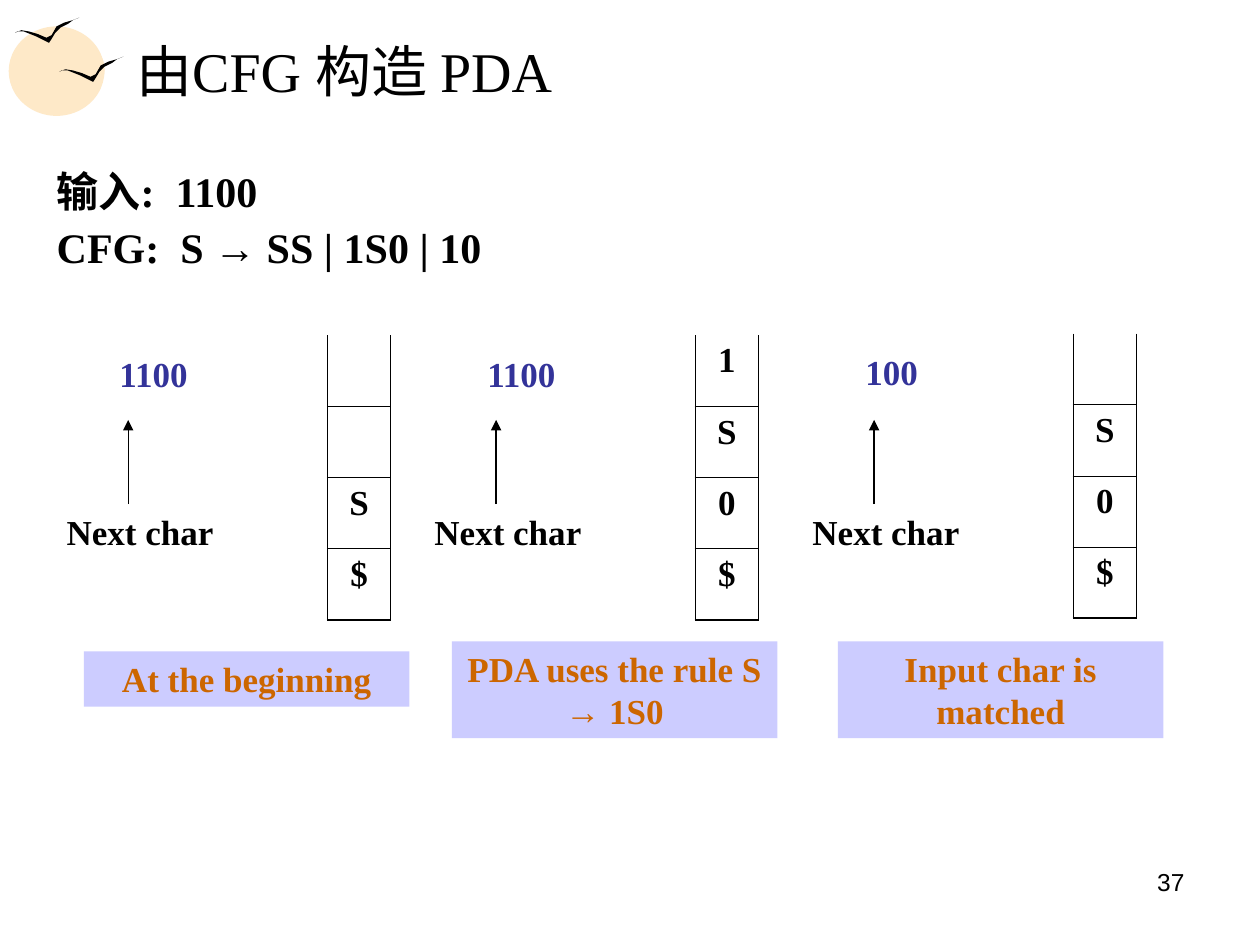
from lxml import etree
from pptx import Presentation
from pptx.dml import color
from pptx.enum import shapes, text
from pptx.oxml import ns
from pptx.util import Pt

SERIF = "Times New Roman"
BLACK = "000000"
BIRD = [(0, 12), (5, 10), (11, 11), (18, 13), (25, 16), (29, 14), (33, 7),
        (39, 4), (46, 2), (51, 0), (46, 2), (42, 5), (36, 8), (32, 12),
        (29, 17), (27, 20), (23, 18), (17, 15), (12, 13), (7, 11), (2, 11)]
PANELS = [
    {"box": (31, 191.6), "tape": "1100", "stack": ["", "", "S", "$"],
     "caption": "At the beginning", "caption_box": (17, 180.6, 31.7)},
    {"box": (241.2, 191.6), "tape": "1100", "stack": ["1", "S", "0", "$"],
     "caption": "PDA uses the rule S → 1S0", "caption_box": (17, 174.9, 55.4)},
    {"box": (457.2, 190.6), "tape": "100", "stack": ["", "S", "0", "$"],
     "caption": "Input char is matched", "caption_box": (21.6, 175.9, 55.4)},
]


def rgb(value):
    return color.RGBColor.from_string(value)


def apply(target, **values):
    for name, value in values.items():
        setattr(target, name, value)


def add_element(parent, tag, **attributes):
    element = etree.SubElement(parent, ns.qn(tag))
    for name, value in attributes.items():
        element.set(name, str(value))
    return element


def place(shape, left, top, width, height):
    apply(shape, left=Pt(left), top=Pt(top), width=Pt(width), height=Pt(height))


def write(paragraph, wording, size, ink=BLACK, bold=True, face=SERIF,
          align=text.PP_ALIGN.LEFT):
    paragraph.alignment = align
    apply(paragraph.font, size=Pt(size), bold=bold, name=face)
    for piece in filter(None, wording.partition("→")):
        run = paragraph.add_run()
        run.text = piece
        apply(run.font, size=Pt(size), bold=bold,
              name="Arial" if piece == "→" else face)
        run.font.color.rgb = rgb(ink)


def frame_text(shape, anchor=text.MSO_ANCHOR.TOP):
    frame = shape.text_frame
    apply(frame, word_wrap=True, auto_size=text.MSO_AUTO_SIZE.NONE,
          vertical_anchor=anchor, margin_left=Pt(7.2), margin_right=Pt(7.2),
          margin_top=Pt(3.6), margin_bottom=Pt(3.6))
    return frame


def add_label(slide, box, wording, size=20, **formats):
    label = slide.shapes.add_textbox(*map(Pt, box))
    write(frame_text(label).paragraphs[0], wording, size, **formats)


def fill_plain(shape, fill):
    shape.shadow.inherit = False
    shape.fill.solid()
    shape.fill.fore_color.rgb = rgb(fill)
    shape.line.fill.background()


def add_emblem(slide, left, top):
    for x, y, width, height in [(0, 5, 54.7, 51.1), (9.4, 10, 45.4, 39.6)]:
        sun = slide.shapes.add_shape(shapes.MSO_SHAPE.OVAL, Pt(left + x),
                                     Pt(top + y), Pt(width), Pt(height))
        fill_plain(sun, "FEE9C8")
    for x, y in [(28.8, 22.3), (3.6, 0)]:
        builder = slide.shapes.build_freeform(*BIRD[0], scale=Pt(0.72))
        builder.add_line_segments(BIRD[1:], close=True)
        fill_plain(builder.convert_to_shape(Pt(left + x), Pt(top + y)), BLACK)


def add_title(slide, box):
    title = slide.shapes.title
    place(title, *box)
    frame = frame_text(title, text.MSO_ANCHOR.MIDDLE)
    write(frame.paragraphs[0], "由CFG 构造 PDA", 32, bold=False)


def add_body(slide, box, lines):
    body = slide.placeholders[1]
    place(body, *box)
    frame = frame_text(body)
    for index, line in enumerate(lines):
        paragraph = frame.add_paragraph() if index else frame.paragraphs[0]
        apply(paragraph, line_spacing=0.9, space_before=Pt(6 if index else 0))
        properties = paragraph._p.get_or_add_pPr()
        properties.set("marL", str(Pt(27)))
        properties.set("indent", str(Pt(-27)))
        add_element(properties, "a:buNone")
        write(paragraph, line, 24)


def set_borders(cell, widths):
    properties = cell._tc.get_or_add_tcPr()
    for index, (side, width) in enumerate(widths.items()):
        border = add_element(properties, f"a:ln{side}", w=Pt(width))
        if width:
            add_element(add_element(border, "a:solidFill"), "a:srgbClr", val=BLACK)
        else:
            add_element(border, "a:noFill")
        properties.insert(index, border)


def add_stack(slide, left, top, symbols):
    count = len(symbols)
    row_height = 40.7
    table = slide.shapes.add_table(count, 1, Pt(left), Pt(top), Pt(36),
                                   Pt(row_height * count)).table
    apply(table, first_row=False, horz_banding=False)
    table.columns[0].width = Pt(36)
    for row, symbol in enumerate(symbols):
        table.rows[row].height = Pt(row_height)
        cell = table.cell(row, 0)
        cell.fill.background()
        write(cell.text_frame.paragraphs[0], symbol, 20,
              align=text.PP_ALIGN.CENTER)
        set_borders(cell, {"L": 1.08, "R": 1.08, "T": 0.45 if row else 0,
                           "B": 1.08 if row == count - 1 else 0.45})


def add_arrow(slide, x, bottom, top):
    arrow = slide.shapes.add_connector(shapes.MSO_CONNECTOR.STRAIGHT,
                                       Pt(x), Pt(bottom), Pt(x), Pt(top))
    arrow.line.color.rgb = rgb(BLACK)
    arrow.line.width = Pt(0.75)
    add_element(arrow.line._get_or_add_ln(), "a:tailEnd", type="triangle")
    add_element(arrow._element.spPr, "a:effectLst")


def add_caption(slide, box, wording):
    caption = slide.shapes.add_shape(shapes.MSO_SHAPE.RECTANGLE, *map(Pt, box))
    fill_plain(caption, "CCCCFF")
    write(frame_text(caption).paragraphs[0], wording, 20, ink="CC6600",
          align=text.PP_ALIGN.CENTER)


def add_panel(slide, box, tape, stack, caption, caption_box):
    left, top = box
    caption_left, caption_top, caption_height = caption_box
    add_label(slide, (left + 30.2, top + 6.2, 108, 31.7), tape, ink="333399")
    add_stack(slide, left + 156.2, top, stack)
    add_caption(slide, (left + caption_left, top + caption_top, 186,
                        caption_height), caption)
    add_arrow(slide, left + 42.3, 288, 240)
    add_label(slide, (left, 288, 108, 31.7), "Next char")


def main():
    presentation = Presentation()
    apply(presentation, slide_width=Pt(720), slide_height=Pt(540))
    slide = presentation.slides.add_slide(presentation.slide_layouts[1])
    add_emblem(slide, 5, 10.1)
    add_title(slide, (70.6, 15.1, 614.2, 49.7))
    add_body(slide, (25.2, 94.3, 674.6, 73.4),
             ["输入:  1100", "CFG:  S → SS | 1S0 | 10"])
    for panel in PANELS:
        add_panel(slide, **panel)
    add_label(slide, (516.2, 491.8, 167.8, 37.4), "37", size=14, bold=False,
              face="Arial", align=text.PP_ALIGN.RIGHT)
    presentation.save("out.pptx")


if __name__ == "__main__":
    main()
